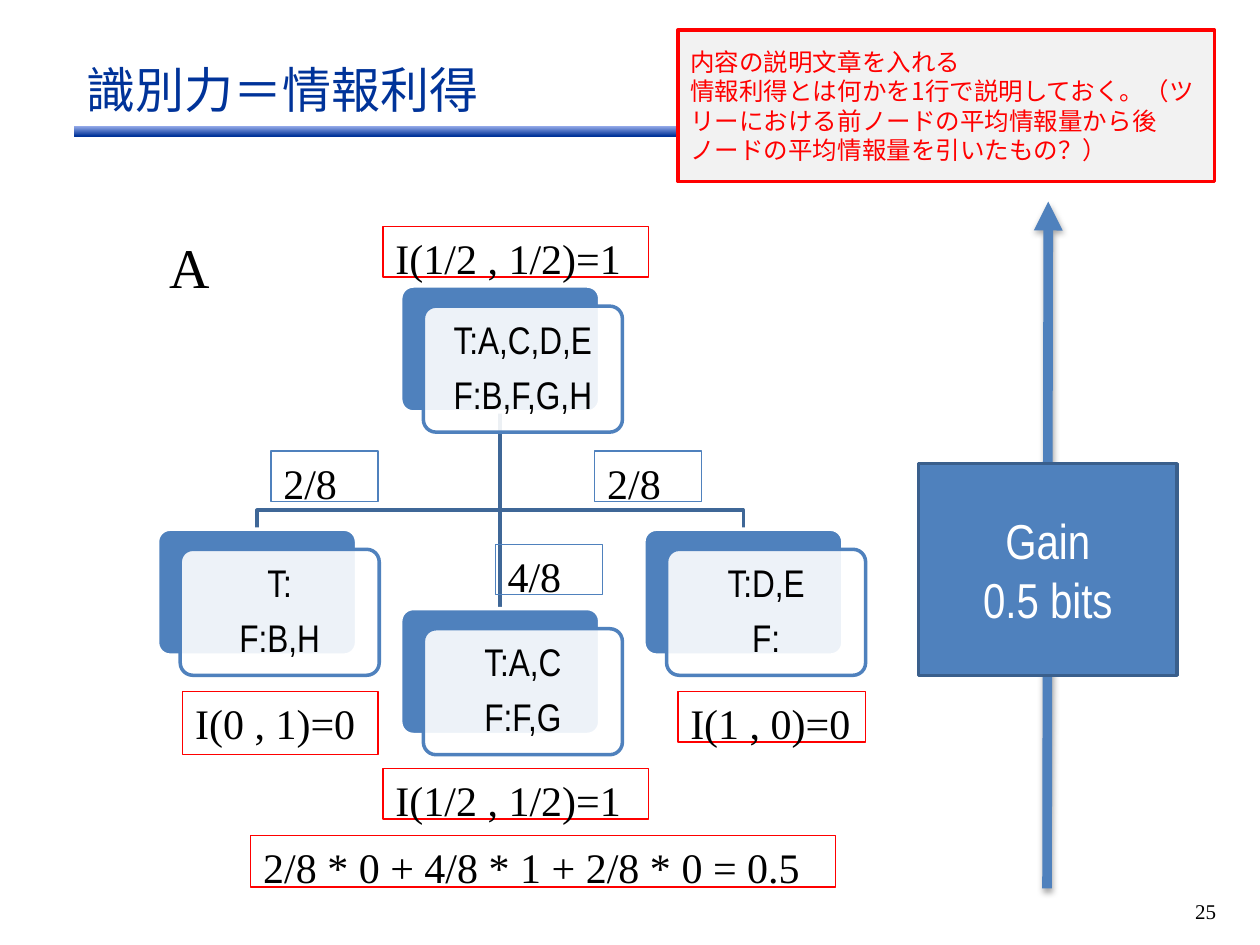
from lxml import etree
from pptx import Presentation
from pptx import util as u
from pptx.dml.color import RGBColor
from pptx.enum import shapes as s, text as t
from pptx.oxml import parse_xml
from pptx.oxml.ns import qn

Inches = u.Inches
COLORS = {
    "navy": "003399", "pale_blue": "98ADEB", "blue": "4F81BD",
    "link_blue": "3F6797", "edge_blue": "3A5F8C", "red": "FF0000",
    "note_gray": "F2F2F2", "white": "FFFFFF", "black": "000000",
}
SERIF, NARROW, CJK = "Times New Roman", "Arial Narrow", "Noto Sans CJK JP"
DRAWING_NS = "http://schemas.openxmlformats.org/drawingml/2006/main"


def rgb(name):
    return RGBColor.from_string(COLORS[name])


def set_line(shape, color, width):
    shape.line.color.rgb = rgb(color)
    shape.line.width = u.Pt(width)


def write(shape, lines, size, font, color="black", align=t.PP_ALIGN.LEFT,
          anchor=t.MSO_ANCHOR.TOP, before=0, after=0, spacing=None, wrap=True):
    frame = shape.text_frame
    frame.word_wrap = wrap
    frame.vertical_anchor = anchor
    for index, line in enumerate(lines):
        paragraph = frame.paragraphs[0] if index == 0 else frame.add_paragraph()
        paragraph.alignment = align
        paragraph.space_before, paragraph.space_after = u.Pt(before), u.Pt(after)
        if spacing:
            paragraph.line_spacing = spacing
        run = paragraph.add_run()
        run.text = line
        run.font.size, run.font.name = u.Pt(size), font
        run.font.color.rgb = rgb(color)
        east_asian = etree.SubElement(run.font._element, qn("a:ea"))
        east_asian.set("typeface", CJK)


def add_box(slide, box, fill=None, line=None, width=0.75,
            kind=s.MSO_SHAPE.RECTANGLE):
    shape = slide.shapes.add_shape(kind, *map(Inches, box))
    shape.shadow.inherit = False
    if fill:
        shape.fill.solid()
        shape.fill.fore_color.rgb = rgb(fill)
    else:
        shape.fill.background()
    if line:
        set_line(shape, line, width)
    else:
        shape.line.fill.background()
    return shape


def add_text(slide, box, lines, size, font, **style):
    shape = slide.shapes.add_textbox(*map(Inches, box))
    write(shape, lines, size, font, **style)


def add_line(slide, start, end, color, width, effects=""):
    line = slide.shapes.add_connector(
        s.MSO_CONNECTOR.STRAIGHT, *map(Inches, (*start, *end)))
    set_line(line, color, width)
    line._element.spPr.append(parse_xml(
        f'<a:effectLst xmlns:a="{DRAWING_NS}">{effects}</a:effectLst>'))
    return line


def add_heading(slide, box):
    left, top, width, height = box
    rule = add_box(slide, (left, top + 0.48, width, 0.08))
    rule.fill.gradient()
    rule.fill.gradient_angle = 270
    for stop, color, position in zip(rule.fill.gradient_stops,
                                     ("pale_blue", "navy"), (0, 1)):
        stop.color.rgb = rgb(color)
        stop.position = position
    add_text(slide, box, ["識別力＝情報利得"], 28, NARROW, color="navy",
             anchor=t.MSO_ANCHOR.BOTTOM)


def add_node(slide, box, lines):
    """A solid card with a translucent, labelled card in front of it."""
    left, top, width, height = box
    rounded = s.MSO_SHAPE.ROUNDED_RECTANGLE
    back = add_box(slide, box, "blue", "white", 2, rounded)
    front = add_box(slide, (left + 0.18, top + 0.16, width, height),
                    "white", "blue", 2, rounded)
    for card in (back, front):
        card.adjustments[0] = 0.1
    color = front._element.spPr.find(qn("a:solidFill"))[0]
    etree.SubElement(color, qn("a:alpha")).set("val", "90000")
    frame = front.text_frame
    frame.margin_left = frame.margin_right = Inches(0.12)
    frame.margin_top = frame.margin_bottom = Inches(0.12)
    write(front, lines, 22, NARROW, align=t.PP_ALIGN.CENTER,
          anchor=t.MSO_ANCHOR.MIDDLE, after=7.7, spacing=0.9)
    return back


def add_elbow(slide, start, bend_y, end):
    builder = slide.shapes.build_freeform(*map(Inches, start), scale=1.0)
    corners = [(start[0], bend_y), (end[0], bend_y), end]
    builder.add_line_segments(
        [(Inches(x), Inches(y)) for x, y in corners], close=False)
    elbow = builder.convert_to_shape()
    elbow.shadow.inherit = False
    elbow.fill.background()
    set_line(elbow, "link_blue", 2)


def add_tree(slide, left, top):
    width, height, step = 1.58, 1, 1.93
    middle = left + step
    center, root_bottom = middle + width / 2, top + height
    side_top, leaf_top = top + 1.93, top + 2.56

    # Branches lie behind the cards
    add_elbow(slide, (center, root_bottom), top + 1.78, (center + step, side_top))
    trunk = add_line(slide, (center, root_bottom), (center, leaf_top),
                     "link_blue", 2)
    add_elbow(slide, (center, root_bottom), top + 1.78, (center - step, side_top))

    nodes = [
        (middle, top, ["T:A,C,D,E", "F:B,F,G,H"]),
        (left, side_top, ["T:", "F:B,H"]),
        (middle, leaf_top, ["T:A,C", "F:F,G"]),
        (left + 2 * step, side_top, ["T:D,E", "F:"]),
    ]
    root, _, leaf, _ = [add_node(slide, (x, y, width, height), lines)
                        for x, y, lines in nodes]
    trunk.begin_connect(root, 2)
    trunk.end_connect(leaf, 0)


def add_formulas(slide, left, top):
    """Branch weights, information values and the attribute's name."""
    weights = [(0.9, 1.78, "2/8"), (3.47, 1.78, "2/8"), (2.68, 2.52, "4/8")]
    values = [
        (1.79, 0, 2.11, 0.4, "I(1/2 , 1/2)=1"),
        (1.79, 4.3, 2.11, 0.4, "I(1/2 , 1/2)=1"),
        (0.2, 3.69, 1.55, 0.5, "I(0 , 1)=0"),
        (4.13, 3.69, 1.49, 0.4, "I(1 , 0)=0"),
        (0.74, 4.83, 4.64, 0.41, "2/8 * 0 + 4/8 * 1 + 2/8 * 0 = 0.5"),
    ]
    labels = [(x, y, 0.85, 0.4, label, None, "blue") for x, y, label in weights]
    labels += [(*value, "white", "red") for value in values]
    for x, y, width, height, label, fill, line in labels:
        shape = add_box(slide, (left + x, top + y, width, height), fill, line)
        write(shape, [label], 24, SERIF, before=3)
    add_text(slide, (left, top, 0.49, 0.64), ["A"], 32, SERIF,
             before=4, wrap=False)


def add_gain(slide, box):
    left, top, width, height = box
    shadow = ('<a:outerShdw blurRad="39370" dist="22860" dir="5400000" '
              'rotWithShape="0"><a:srgbClr val="000000"><a:alpha val="35000"/>'
              '</a:srgbClr></a:outerShdw>')
    arrow = add_line(slide, (left + 1.02, top + 3.37), (left + 1.03, top - 2.08),
                     "blue", 5.5, shadow)
    etree.SubElement(arrow.line._get_or_add_ln(), qn("a:tailEnd")).set(
        "type", "triangle")
    gain = add_box(slide, box, "blue", "edge_blue", 2)
    write(gain, ["Gain", "0.5 bits"], 28, NARROW, "white",
          t.PP_ALIGN.CENTER, t.MSO_ANCHOR.MIDDLE)


def add_note(slide, box):
    note = add_box(slide, box, "note_gray", "red", 2)
    write(note, [
        "内容の説明文章を入れる",
        "情報利得とは何かを1行で説明しておく。（ツリーにおける前ノードの"
        "平均情報量から後ノードの平均情報量を引いたもの？）",
    ], 14, CJK, "red", anchor=t.MSO_ANCHOR.MIDDLE)


def main():
    presentation = Presentation()
    presentation.slide_width, presentation.slide_height = Inches(10), Inches(7.5)
    slide = presentation.slides.add_slide(presentation.slide_layouts[6])
    add_heading(slide, (0.59, 0.52, 8.75, 0.47))
    add_text(slide, (9.17, 7.08, 0.58, 0.33), ["25"], 12, SERIF,
             align=t.PP_ALIGN.RIGHT)
    add_tree(slide, 1.25, 2.27)
    add_formulas(slide, 1.25, 1.8)
    add_gain(slide, (7.29, 3.68, 2.05, 1.68))
    add_note(slide, (5.38, 0.24, 4.26, 1.2))
    presentation.save("out.pptx")


if __name__ == "__main__":
    main()
